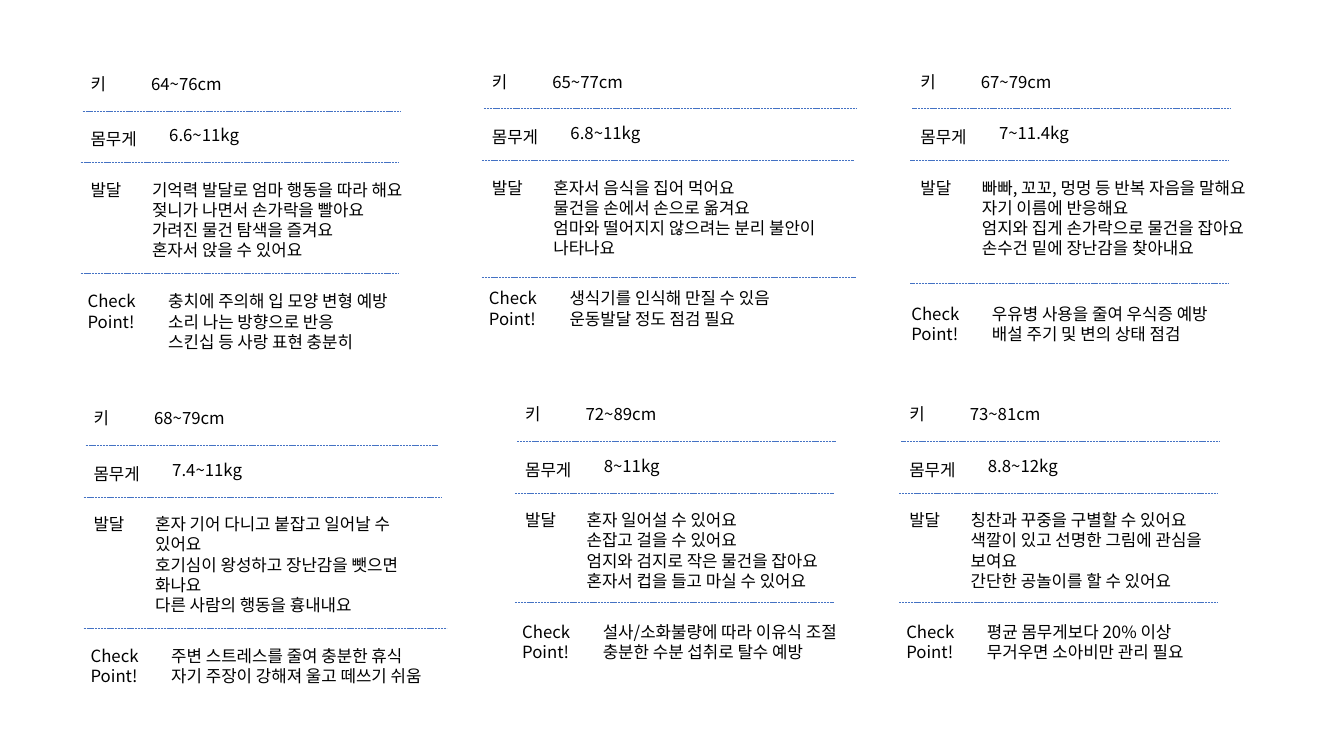
from dataclasses import dataclass
from pptx import Presentation
from pptx.dml.color import RGBColor
from pptx.enum.dml import MSO_LINE
from pptx.enum.shapes import MSO_CONNECTOR
from pptx.enum.text import MSO_ANCHOR, MSO_AUTO_SIZE, PP_ALIGN
from pptx.oxml.ns import qn
from pptx.util import Pt
from lxml import etree

STRAIGHT = MSO_CONNECTOR.STRAIGHT
DASH = MSO_LINE.SQUARE_DOT
TOP = MSO_ANCHOR.TOP
GROW = MSO_AUTO_SIZE.SHAPE_TO_FIT_TEXT
LEFT = PP_ALIGN.LEFT
PX = 9144


@dataclass(frozen=True)
class Theme:
    font: str = "Noto Sans CJK KR"
    size: float = 12
    leading: float = 14.4
    text: str = "000000"
    rule: str = "4472C4"
    rule_width: float = 0.5


@dataclass(frozen=True)
class Card:
    x: int
    y: int
    height: str
    weight: str
    growth: list
    check: list
    rule_y: int
    check_y: int
    rules: tuple = (316, 316, 316)
    check_dx: int = -3
    check_w: int = 257
    growth_h: int = 91


CARDS = [
    Card(80, 68, "64~76cm", "6.6~11kg",
         ["기억력 발달로 엄마 행동을 따라 해요", "젖니가 나면서 손가락을 빨아요",
          "가려진 물건 탐색을 즐겨요", "혼자서 앉을 수 있어요"],
         ["충치에 주의해 입 모양 변형 예방", "소리 나는 방향으로 반응",
          "스킨십 등 사랑 표현 충분히"], 271, 284),
    Card(478, 66, "65~77cm", "6.8~11kg",
         ["혼자서 음식을 집어 먹어요", "물건을 손에서 손으로 옮겨요",
          "엄마와 떨어지지 않으려는 분리 불안이 나타나요"],
         ["생식기를 인식해 만질 수 있음", "운동발달 정도 점검 필요"],
         275, 281, rules=(369, 369, 371), check_w=315),
    Card(903, 66, "67~79cm", "7~11.4kg",
         ["빠빠, 꼬꼬, 멍멍 등 반복 자음을 말해요", "자기 이름에 반응해요",
          "엄지와 집게 손가락으로 물건을 잡아요", "손수건 밑에 장난감을 찾아내요"],
         ["우유병 사용을 줄여 우식증 예방", "배설 주기 및 변의 상태 점검"],
         281, 296, check_dx=-9),
    Card(83, 400, "68~79cm", "7.4~11kg",
         ["혼자 기어 다니고 붙잡고 일어날 수 있어요",
          "호기심이 왕성하고 장난감을 뺏으면 화나요", "다른 사람의 행동을 흉내내요"],
         ["주변 스트레스를 줄여 충분한 휴식", "자기 주장이 강해져 울고 떼쓰기 쉬움"],
         623, 636, rules=(349, 355, 360), check_w=283, growth_h=111),
    Card(511, 396, "72~89cm", "8~11kg",
         ["혼자 일어설 수 있어요", "손잡고 걸을 수 있어요",
          "엄지와 검지로 작은 물건을 잡아요", "혼자서 컵을 들고 마실 수 있어요"],
         ["설사/소화불량에 따라 이유식 조절", "충분한 수분 섭취로 탈수 예방"],
         598, 612, check_w=261),
    Card(892, 396, "73~81cm", "8.8~12kg",
         ["칭찬과 꾸중을 구별할 수 있어요", "색깔이 있고 선명한 그림에 관심을 보여요",
          "간단한 공놀이를 할 수 있어요"],
         ["평균 몸무게보다 20% 이상 무거우면 소아비만 관리 필요"], 598, 612),
]


class Deck:
    def __init__(self, theme):
        self.theme = theme
        self.prs = Presentation()
        self.prs.slide_width, self.prs.slide_height = 1333 * PX, 750 * PX
        self.s = self.prs.slides.add_slide(self.prs.slide_layouts[6])

    def style(self, target, values):
        for name, value in values.items():
            setattr(target, name, value)

    def rule(self, x, y, w):
        sp = self.s.shapes.add_connector(STRAIGHT, x * PX, y * PX, (x + w) * PX, y * PX)
        sp.line.color.rgb = RGBColor.from_string(self.theme.rule)
        self.style(sp.line, {"width": Pt(self.theme.rule_width), "dash_style": DASH})
        etree.SubElement(sp._element.spPr, qn("a:effectLst"))

    def text(self, x, y, w, lines, h=30):
        sp = self.s.shapes.add_textbox(x * PX, y * PX, w * PX, h * PX)
        tf = sp.text_frame
        self.style(tf, {"word_wrap": True, "auto_size": GROW, "vertical_anchor": TOP})
        for i, line in enumerate(lines):
            p = tf.add_paragraph() if i else tf.paragraphs[0]
            self.style(p, {"alignment": LEFT, "line_spacing": Pt(self.theme.leading)})
            r = p.add_run()
            r.text = line
            r.font.color.rgb = RGBColor.from_string(self.theme.text)
            self.style(r.font, {"size": Pt(self.theme.size), "name": self.theme.font})
            ea = etree.SubElement(r._r.get_or_add_rPr(), qn("a:ea"))
            ea.set("typeface", self.theme.font)

    def card(self, c):
        x, y = c.x, c.y
        rules = [(x + 2, y + 42), (x, y + 93), (x, c.rule_y)]
        for (left, top), width in zip(rules, c.rules):
            self.rule(left, top, width)
        self.text(x, y, 41, ["키"])
        self.text(x + 60, y, 159, [c.height])
        self.text(x, y + 55, 80, ["몸무게"])
        self.text(x + 78, y + 51, 159, [c.weight])
        self.text(x, y + 105, 60, ["발달"])
        self.text(x + 61, y + 105, 293, c.growth, c.growth_h)
        check_x = x + c.check_dx
        self.text(check_x, c.check_y, 105, ["Check", "Point!"], 50)
        self.text(check_x + 80, c.check_y, c.check_w, c.check, 10 + 20 * max(2, len(c.check)))


def main():
    deck = Deck(Theme())
    for card in CARDS:
        deck.card(card)
    deck.prs.save("out.pptx")


if __name__ == "__main__":
    main()
